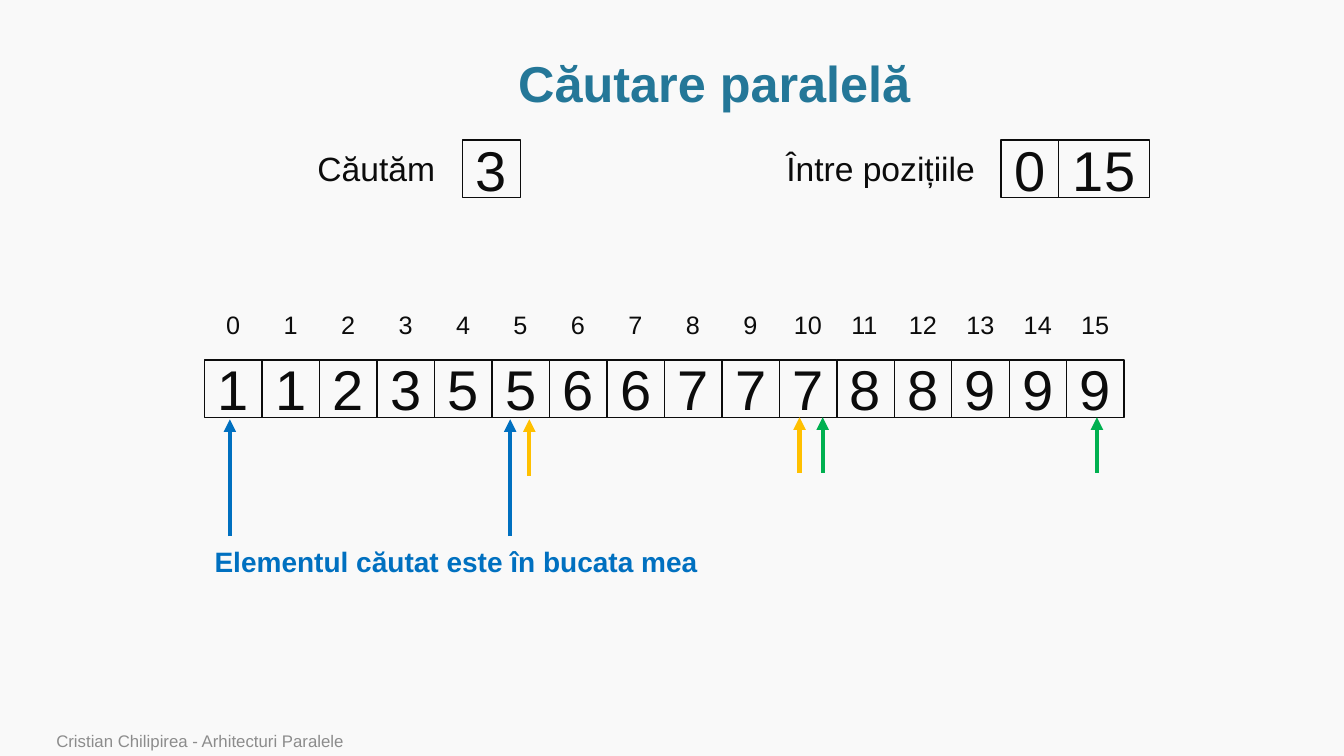
import pptx
import pptx.util
import pptx.dml.color
import pptx.enum.shapes
import pptx.enum.text
import pptx.oxml
import pptx.oxml.ns

Inches = pptx.util.Inches
RGBColor = pptx.dml.color.RGBColor
ALIGN = pptx.enum.text.PP_ALIGN
ANCHOR = pptx.enum.text.MSO_ANCHOR
FIT = pptx.enum.text.MSO_AUTO_SIZE
SHAPE = pptx.enum.shapes.MSO_SHAPE
LINE = pptx.enum.shapes.MSO_CONNECTOR

PAPER = RGBColor(0xF9, 0xF9, 0xF9)
INK = RGBColor(0x0C, 0x0C, 0x0C)
TEAL = RGBColor(0x24, 0x77, 0x98)
BLUE = RGBColor(0x00, 0x70, 0xC0)
GOLD = RGBColor(0xFF, 0xC0, 0x00)
GREEN = RGBColor(0x00, 0xB0, 0x50)
GRAY = RGBColor(0x8C, 0x8C, 0x8C)

SIDE = 0.57
ROW_LEFT = 2.03
ROW_TOP = 3.57
HEAD_TOP = 1.39

deck = pptx.Presentation()
deck.slide_width = Inches(13.33)
deck.slide_height = Inches(7.5)
slide = deck.slides.add_slide(deck.slide_layouts[6])
slide.background.fill.solid()
slide.background.fill.fore_color.rgb = PAPER
shapes = slide.shapes


def write(shape, text, size, color=INK, bold=False, align=ALIGN.LEFT):
    frame = shape.text_frame
    frame.text = text
    line = frame.paragraphs[0]
    line.alignment = align
    line.font.name = "Arial"
    line.font.size = pptx.util.Pt(size)
    line.font.bold = bold
    line.font.color.rgb = color
    return frame


def add_label(left, top, width, height, text, size, *style):
    """Add a one-line text box that fits its text."""
    box = shapes.add_textbox(Inches(left), Inches(top), Inches(width), Inches(height))
    frame = write(box, text, size, *style)
    frame.word_wrap = False
    frame.auto_size = FIT.SHAPE_TO_FIT_TEXT


# Title and footer
title = shapes.add_textbox(Inches(1.14), Inches(0.51), Inches(11.89), Inches(0.69))
frame = write(title, "Căutare paralelă", 36, TEAL, True, ALIGN.CENTER)
frame.word_wrap = True
frame.vertical_anchor = ANCHOR.MIDDLE
frame.paragraphs[0].line_spacing = 0.9

footer = shapes.add_textbox(Inches(0.46), Inches(7.22), Inches(9.82), Inches(0.28))
frame = write(footer, "Cristian Chilipirea - Arhitecturi Paralele", 12, GRAY)
frame.word_wrap = True
frame.vertical_anchor = ANCHOR.BOTTOM

# Search value, range and sorted row
cells = [
    (4.59, HEAD_TOP, SIDE, 3),
    (9.93, HEAD_TOP, SIDE, 0),
    (10.5, HEAD_TOP, 0.9, 15),
]
values = [1, 1, 2, 3, 5, 5, 6, 6, 7, 7, 7, 8, 8, 9, 9, 9]
for index, value in enumerate(values):
    left = ROW_LEFT + index * SIDE
    cells.append((left, ROW_TOP, SIDE, value))
    width = 0.34 if index < 10 else 0.48
    add_label(left + (SIDE - width) / 2, 3.02, width, 0.4, str(index), 18)

for left, top, width, value in cells:
    cell = shapes.add_shape(SHAPE.RECTANGLE, Inches(left), Inches(top),
                            Inches(width), Inches(SIDE))
    cell.shadow.inherit = False
    cell.fill.background()
    cell.line.color.rgb = INK
    cell.line.width = pptx.util.Pt(1)
    frame = write(cell, str(value), 40, INK, False, ALIGN.CENTER)
    frame.vertical_anchor = ANCHOR.MIDDLE

add_label(3.05, 1.42, 1.38, 0.5, "Căutăm", 24)
add_label(7.7, 1.42, 2.09, 0.5, "Între pozițiile", 24)
add_label(2.03, 5.35, 5.03, 0.44, "Elementul căutat este în bucata mea", 20, BLUE, True)

# Arrows at the ends of each chunk: x, tail y, tip y
arrows = [
    (2.28, 5.32, 4.16, BLUE),
    (5.06, 5.32, 4.16, BLUE),
    (5.25, 4.72, 4.16, GOLD),
    (7.93, 4.69, 4.14, GOLD),
    (8.16, 4.69, 4.14, GREEN),
    (10.88, 4.69, 4.14, GREEN),
]
for x, tail, tip, color in arrows:
    arrow = shapes.add_connector(LINE.STRAIGHT, Inches(x), Inches(tail),
                                 Inches(x), Inches(tip))
    arrow.line.color.rgb = color
    arrow.line.width = pptx.util.Pt(3)
    head = pptx.oxml.parse_xml(
        f'<a:tailEnd {pptx.oxml.ns.nsdecls("a")} type="triangle"/>')
    arrow.line._get_or_add_ln().append(head)
    plain = pptx.oxml.parse_xml(f'<a:effectLst {pptx.oxml.ns.nsdecls("a")}/>')
    arrow._element.spPr.append(plain)

deck.save("out.pptx")
